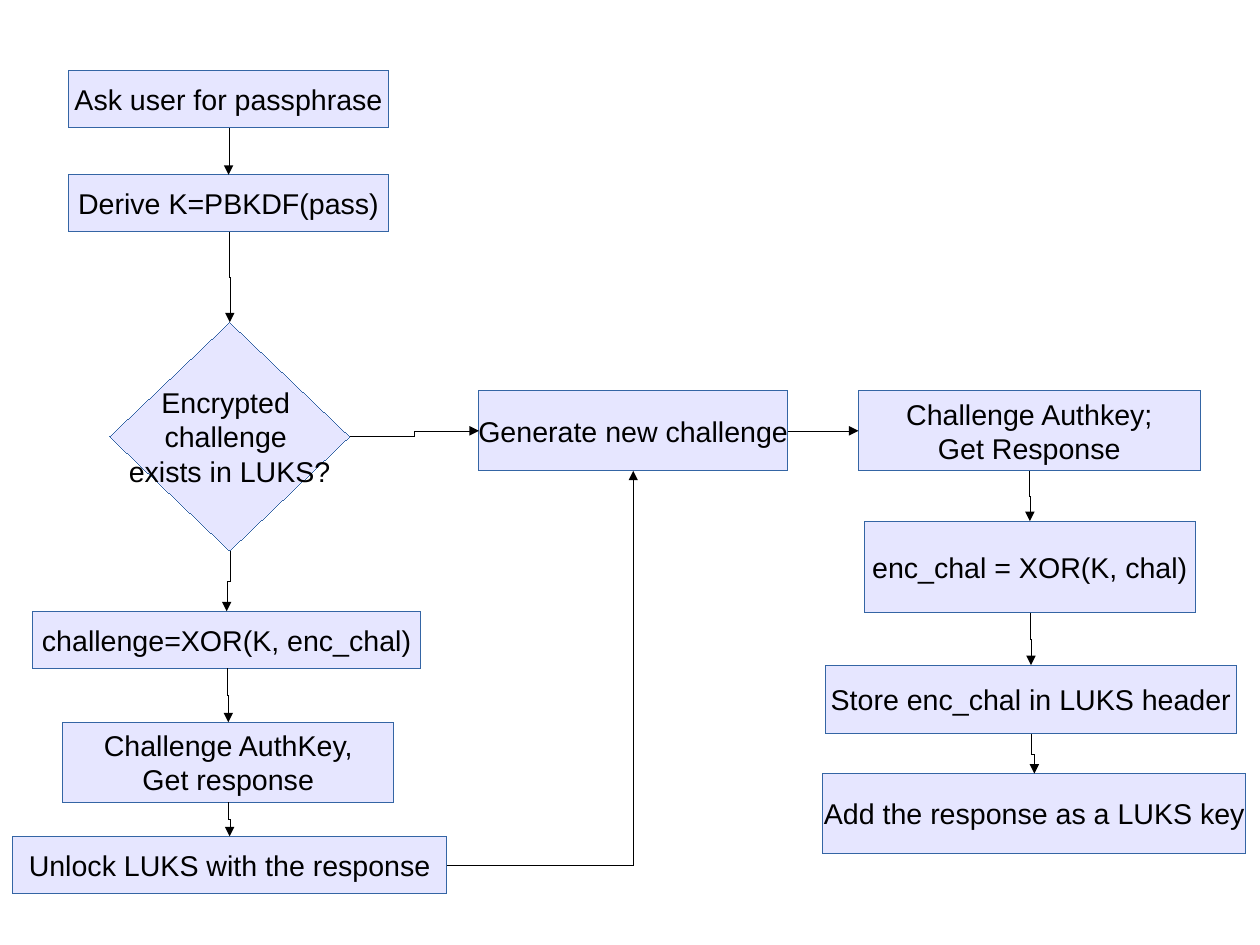
from lxml import etree
from pptx import Presentation
from pptx.dml.color import RGBColor
from pptx.enum.shapes import MSO_CONNECTOR, MSO_SHAPE
from pptx.enum.text import MSO_ANCHOR, PP_ALIGN
from pptx.oxml.ns import qn
from pptx.util import Pt

PROCESS = MSO_SHAPE.FLOWCHART_PROCESS
DECISION = MSO_SHAPE.FLOWCHART_DECISION
ELBOW = MSO_CONNECTOR.ELBOW
TOP, LEFT, BOTTOM, RIGHT = range(4)

COLORS = {"fill": "E6E6FF", "border": "3465A4", "ink": "000000"}
FONT = {"name": "Arial", "size": Pt(18)}
FRAME = {"word_wrap": False, "vertical_anchor": MSO_ANCHOR.MIDDLE}

# Steps: offset from column centre, offset from column top, width, height, shape, text
UNLOCK_BOX = (7.9, 44.6, 273.6, 518.4)
UNLOCK_STEPS = [
    (-0.7, 0, 201.6, 36, PROCESS, "Ask user for passphrase"),
    (-0.7, 65.5, 201.6, 36, PROCESS, "Derive K=PBKDF(pass)"),
    (0, 158.4, 151.2, 144, DECISION, "Encrypted \nchallenge \nexists in LUKS?"),
    (-1.9, 340.5, 244.8, 36, PROCESS, "challenge=XOR(K, enc_chal)"),
    (-0.9, 410.4, 208.8, 50.4, PROCESS, "Challenge AuthKey,\nGet response"),
    (0, 482.3, 273.6, 36, PROCESS, "Unlock LUKS with the response"),
]
GENERATE_BOX = (301.7, 246.2, 194.4, 50.4)
GENERATE_STEPS = [(0, 0, 194.4, 50.4, PROCESS, "Generate new challenge")]
ENROLL_BOX = (518.4, 246.2, 266.4, 291.6)
ENROLL_STEPS = [
    (-3.2, 0, 215.3, 50.4, PROCESS, "Challenge Authkey;\nGet Response"),
    (-2.9, 82.1, 208.8, 57.6, PROCESS, "enc_chal = XOR(K, chal)"),
    (-2.2, 172.8, 259.2, 43.2, PROCESS, "Store enc_chal in LUKS header"),
    (0, 241.1, 266.4, 50.4, PROCESS, "Add the response as a LUKS key"),
]


def color(key):
    return RGBColor.from_string(COLORS[key])


def set_attrs(target, values):
    for name, value in values.items():
        setattr(target, name, value)


def set_hairline(shape, key):
    """Colour the line and write its zero width, which line.width leaves out."""
    shape.line.color.rgb = color(key)
    ln = shape._element.spPr.find(qn("a:ln"))
    ln.set("w", "0")
    return ln


def add_step(s, kind, left, top, width, height, text):
    sp = s.shapes.add_shape(kind, Pt(left), Pt(top), Pt(width), Pt(height))
    sp.shadow.inherit = False
    sp.fill.solid()
    sp.fill.fore_color.rgb = color("fill")
    set_hairline(sp, "border")
    tf = sp.text_frame
    set_attrs(tf, FRAME)
    tf.text = text
    for p in tf.paragraphs:
        p.alignment = PP_ALIGN.CENTER
        for r in p.runs:
            set_attrs(r.font, FONT)
            r.font.color.rgb = color("ink")
    return sp


def turn_vertical(c):
    """Rotate an elbow so that it leaves downwards instead of sideways."""
    dx, dy = c.end_x - c.begin_x, c.end_y - c.begin_y
    mid_x, mid_y = (c.begin_x + c.end_x) // 2, (c.begin_y + c.end_y) // 2
    set_attrs(c, {"left": mid_x - dy // 2, "top": mid_y - abs(dx) // 2,
                  "width": dy, "height": abs(dx)})
    xfrm = c._element.spPr.find(qn("a:xfrm"))
    xfrm.attrib.pop("flipH", None)
    xfrm.set("rot", "16200000" if dx > 0 else "5400000")
    if dx > 0:
        xfrm.set("flipH", "1")


def add_arrow(s, start, end, start_side=BOTTOM, end_side=TOP):
    c = s.shapes.add_connector(ELBOW, 0, 0, 0, 0)
    c.begin_connect(start, start_side)
    c.end_connect(end, end_side)
    spPr = c._element.spPr
    geom = spPr.find(qn("a:prstGeom"))
    if c.begin_x == c.end_x or c.begin_y == c.end_y:
        geom.set("prst", "straightConnector1")
    elif start_side == BOTTOM:
        turn_vertical(c)
    elif end_side == BOTTOM:
        geom.set("prst", "bentConnector2")
    etree.SubElement(set_hairline(c, "ink"), qn("a:tailEnd"), type="triangle")
    etree.SubElement(spPr, qn("a:effectLst"))


def add_column(s, box, steps):
    """Stack the steps in the box, each placed from its centre line and top."""
    left, top, width, _ = box
    return [
        add_step(s, kind, left + (width - w) / 2 + dx, top + dy, w, h, text)
        for dx, dy, w, h, kind, text in steps
    ]


def main():
    prs = Presentation()
    prs.slide_width, prs.slide_height = Pt(793.7), Pt(595.28)
    s = prs.slides.add_slide(prs.slide_layouts[6])
    unlock = add_column(s, UNLOCK_BOX, UNLOCK_STEPS)
    generate = add_column(s, GENERATE_BOX, GENERATE_STEPS)[0]
    enroll = add_column(s, ENROLL_BOX, ENROLL_STEPS)
    for steps in (unlock, enroll):
        for start, end in zip(steps, steps[1:]):
            add_arrow(s, start, end)
    add_arrow(s, unlock[-1], generate, RIGHT, BOTTOM)
    add_arrow(s, unlock[2], generate, RIGHT, LEFT)
    add_arrow(s, generate, enroll[0], RIGHT, LEFT)
    prs.save("out.pptx")


if __name__ == "__main__":
    main()
